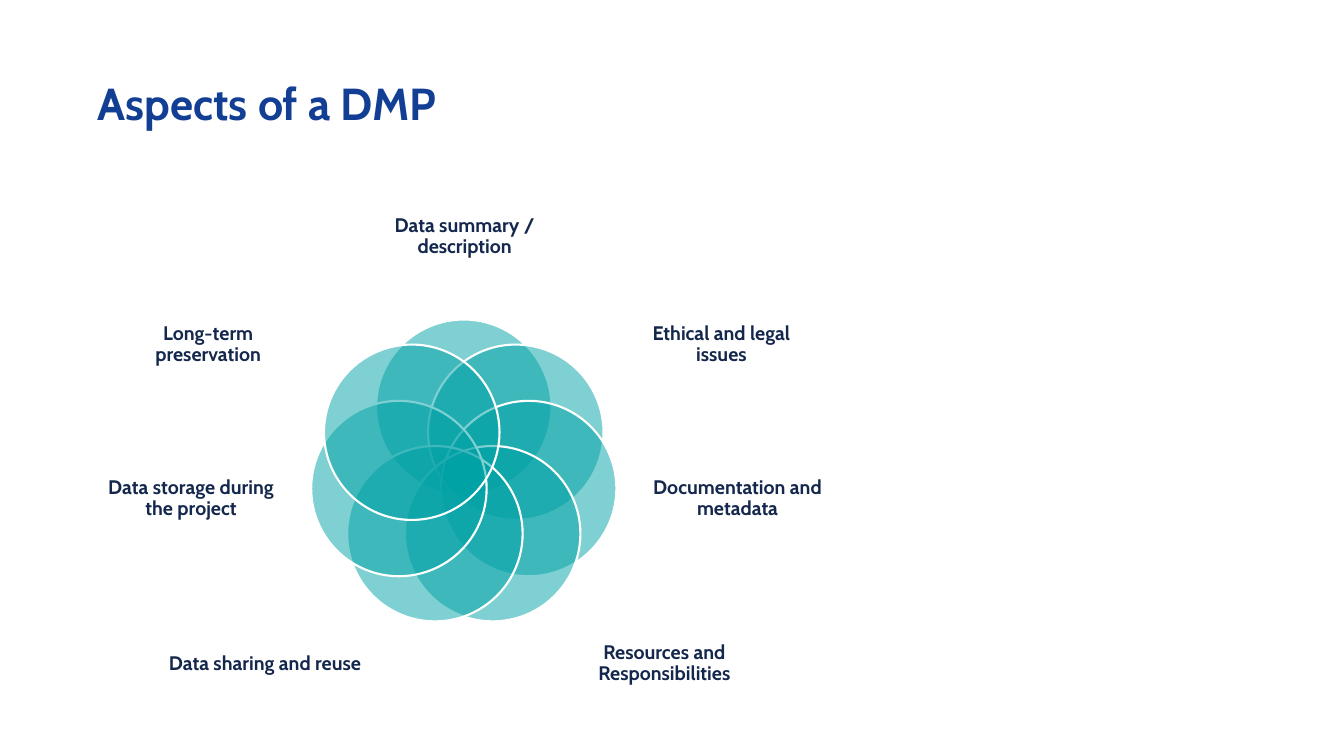
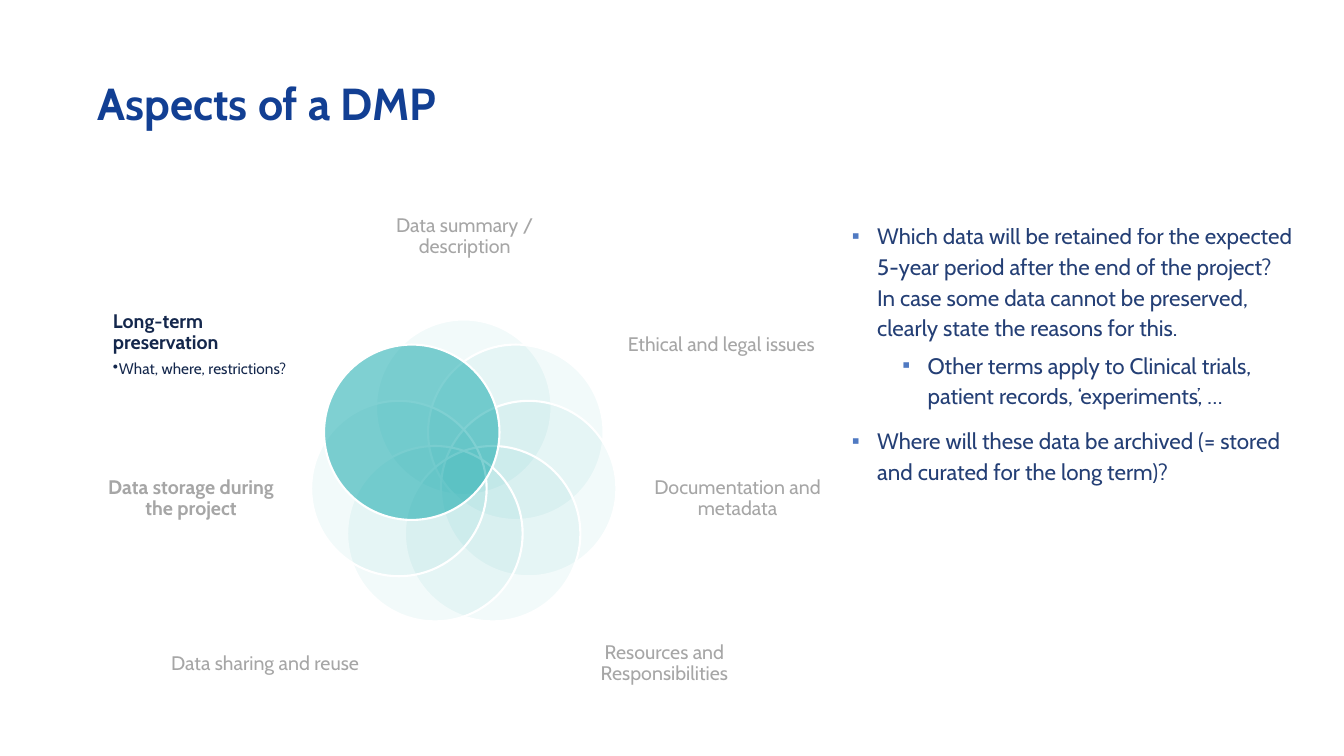
from dataclasses import dataclass
from math import cos, pi, sin

from pptx import Presentation
from pptx.dml.color import RGBColor
from pptx.enum.shapes import MSO_SHAPE
from pptx.enum.text import MSO_ANCHOR, MSO_AUTO_SIZE, PP_ALIGN
from pptx.oxml.ns import qn
from pptx.oxml.xmlchemy import OxmlElement
from pptx.util import Inches, Pt

TITLE = "Aspects of a DMP"
ASPECTS = [
    ("Data summary / description", (3.61, 1.81, 2, 1.07)),
    ("Ethical and legal issues", (6.21, 2.83, 1.89, 1.18)),
    ("Documentation and metadata", (6.39, 4.32, 1.85, 1.26)),
    ("Resources and Responsibilities", (5.59, 6.01, 2, 1.15)),
    ("Data sharing and reuse", (1.63, 6.01, 2, 1.15)),
    ("Data storage during the project", (0.97, 4.32, 1.85, 1.26)),
    ("Long-term preservation", (1.12, 2.83, 1.89, 1.18)),
]
FOCUS = "Long-term preservation"
FOCUS_DETAIL = "What, where, restrictions?"
BOLD_WHEN_MUTED = {"Data storage during the project"}
QUESTIONS = [
    (0, "Which data will be retained for the expected 5-year period after the end of the "
        "project? In case some data cannot be preserved, clearly state the reasons for this."),
    (1, "Other terms apply to Clinical trials, patient records, ‘experiments’, …"),
    (0, "Where will these data be archived (= stored and curated for the long term)?"),
]

TITLE_BOX = (0.87, 0.66, 11.6, 0.78)
QUESTIONS_BOX = (8.35, 2.12, 4.58, 5.04)
FLOWER_CENTRE = (4.6, 4.7)
FLOWER_RADIUS = 0.66
PETAL_SIZE = 1.74


@dataclass(frozen=True)
class Theme:
    font: str = "Cabin"
    title: str = "123F93"
    petal: str = "01A2A6"
    petal_line: str = "FFFFFF"
    label: str = "14274C"
    muted: str = "A6A6A6"
    question: str = "00205F"
    bullet: str = "507AC2"
    title_size: float = 32
    label_size: float = 14
    detail_size: float = 11
    question_size: float = 16
    petal_opacity: int = 50
    muted_opacity: int = 5
    question_opacity: int = 85


THEME = Theme()


def inches(box):
    return [Inches(value) for value in box]


def place(placeholder, box):
    placeholder.left, placeholder.top, placeholder.width, placeholder.height = inches(box)


def set_opacity(fill_parent, percent):
    colour = fill_parent.find(qn("a:solidFill")).find(qn("a:srgbClr"))
    alpha = OxmlElement("a:alpha")
    alpha.set("val", str(percent * 1000))
    colour.append(alpha)


def add_run(paragraph, text, size, colour, bold=False):
    run = paragraph.add_run()
    run.text = text
    run.font.name = THEME.font
    run.font.size = Pt(size)
    run.font.bold = bold
    run.font.color.rgb = RGBColor.from_string(colour)
    return run


def set_bullet(paragraph, character, left, hanging, colour=None):
    properties = paragraph._p.get_or_add_pPr()
    properties.set("marL", str(Inches(left)))
    properties.set("indent", str(-Inches(hanging)))
    if colour:
        bullet_colour = OxmlElement("a:buClr")
        rgb = OxmlElement("a:srgbClr")
        rgb.set("val", colour)
        bullet_colour.append(rgb)
        properties.append(bullet_colour)
    bullet = OxmlElement("a:buChar")
    bullet.set("char", character)
    properties.append(bullet)


def next_paragraph(frame, index):
    return frame.paragraphs[0] if index == 0 else frame.add_paragraph()


def add_title(slide):
    title = slide.shapes.title
    place(title, TITLE_BOX)
    frame = title.text_frame
    frame.auto_size = MSO_AUTO_SIZE.NONE
    frame.vertical_anchor = MSO_ANCHOR.MIDDLE
    paragraph = frame.paragraphs[0]
    paragraph.alignment = PP_ALIGN.LEFT
    paragraph.line_spacing = 0.9
    add_run(paragraph, TITLE, THEME.title_size, THEME.title, True)


def add_petal(flower, index, opacity):
    angle = 2 * pi * index / len(ASPECTS)
    left = FLOWER_CENTRE[0] + FLOWER_RADIUS * sin(angle) - PETAL_SIZE / 2
    top = FLOWER_CENTRE[1] - FLOWER_RADIUS * cos(angle) - PETAL_SIZE / 2
    petal = flower.shapes.add_shape(
        MSO_SHAPE.OVAL, *inches((left, top, PETAL_SIZE, PETAL_SIZE)))
    petal.shadow.inherit = False
    petal.fill.solid()
    petal.fill.fore_color.rgb = RGBColor.from_string(THEME.petal)
    set_opacity(petal._element.spPr, opacity)
    petal.line.color.rgb = RGBColor.from_string(THEME.petal_line)
    petal.line.width = Pt(1.5)


def add_label(flower, aspect, box, colour, bold, detail=None):
    frame = flower.shapes.add_textbox(*inches(box)).text_frame
    frame.word_wrap = True
    frame.vertical_anchor = MSO_ANCHOR.MIDDLE
    frame.margin_left = frame.margin_right = frame.margin_top = frame.margin_bottom = 0
    heading = frame.paragraphs[0]
    heading.alignment = PP_ALIGN.LEFT if detail else PP_ALIGN.CENTER
    heading.line_spacing = 0.9
    add_run(heading, aspect, THEME.label_size, colour, bold)
    if detail:
        heading.space_after = Pt(5)
        item = frame.add_paragraph()
        item.level = 1
        set_bullet(item, "•", 0.06, 0.06)
        item.line_spacing = 0.9
        add_run(item, detail, THEME.detail_size, colour)


def add_flower(slide, focus=None):
    flower = slide.shapes.add_group_shape()
    for index, (aspect, box) in enumerate(ASPECTS):
        active = focus in (None, aspect)
        add_petal(flower, index, THEME.petal_opacity if active else THEME.muted_opacity)
        add_label(flower, aspect, box,
                  THEME.label if active else THEME.muted,
                  active or aspect in BOLD_WHEN_MUTED,
                  FOCUS_DETAIL if aspect == focus else None)


def add_questions(slide):
    body = slide.placeholders[1]
    place(body, QUESTIONS_BOX)
    frame = body.text_frame
    frame.auto_size = MSO_AUTO_SIZE.NONE
    for index, (level, question) in enumerate(QUESTIONS):
        paragraph = next_paragraph(frame, index)
        paragraph.level = level
        set_bullet(paragraph, "▪", 0.25 + 0.5 * level, 0.25, THEME.bullet)
        paragraph.line_spacing = 1.14
        paragraph.space_before = Pt((5 if level else 10) if index else 0)
        run = add_run(paragraph, question, THEME.question_size, THEME.question)
        set_opacity(run._r.rPr, THEME.question_opacity)


def main():
    deck = Presentation()
    deck.slide_width, deck.slide_height = Inches(13.33), Inches(7.5)
    title_and_content, title_only = deck.slide_layouts[1], deck.slide_layouts[5]

    overview = deck.slides.add_slide(title_only)
    add_title(overview)
    add_flower(overview)

    preservation = deck.slides.add_slide(title_and_content)
    add_title(preservation)
    add_flower(preservation, FOCUS)
    add_questions(preservation)

    deck.save("out.pptx")


if __name__ == "__main__":
    main()
